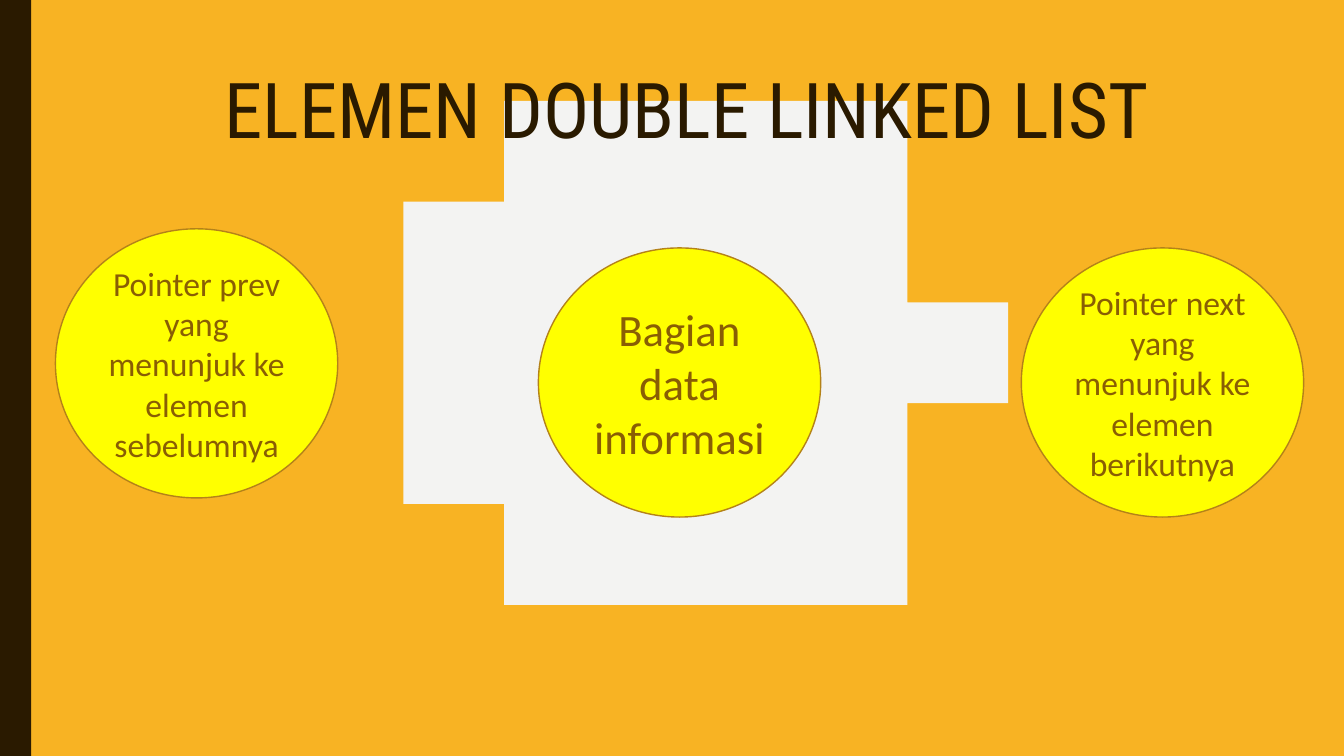
"""Build a slide on the parts of a double linked list."""
import math
from typing import NamedTuple

import pptx
import pptx.dml.color
import pptx.enum.shapes
import pptx.enum.text
import pptx.util

HUES = {
    "back": "F8B323",
    "seal": "F3F3F2",
    "dark": "2A1A00",
    "fill": "FFFF00",
    "edge": "B48219",
    "text": "895E04",
}
Inches = pptx.util.Inches
KINDS = pptx.enum.shapes.MSO_SHAPE


class Node(NamedTuple):
    left: float
    top: float
    text: str
    size: int


NODES = [
    Node(5.34, 2.46, "Bagian data informasi", 32),
    Node(10.13, 2.46, "Pointer next yang menunjuk ke elemen berikutnya", 24),
    Node(0.55, 2.27, "Pointer prev yang menunjuk ke elemen sebelumnya", 24),
]


def tint(name: str) -> pptx.dml.color.RGBColor:
    return pptx.dml.color.RGBColor.from_string(HUES[name])


def paint(shape, name: str) -> None:
    shape.shadow.inherit = False
    shape.fill.solid()
    shape.fill.fore_color.rgb = tint(name)
    shape.line.fill.background()


def write(shape, text: str, font: str, size: int, hue: str):
    frame = shape.text_frame
    frame.word_wrap = True
    frame.vertical_anchor = pptx.enum.text.MSO_ANCHOR.MIDDLE
    line = frame.paragraphs[0]
    line.text = text
    line.alignment = pptx.enum.text.PP_ALIGN.CENTER
    line.font.name = font
    line.font.size = pptx.util.Pt(size)
    line.font.color.rgb = tint(hue)
    return line


def add_seal(shapes) -> None:
    lobes, steps = 16, 256
    points = []
    for step in range(steps):
        angle = math.tau * step / steps
        reach = 2.78 + 0.08 * math.cos(lobes * angle)
        points.append((6.755 + reach * math.sin(angle),
                       3.55 - reach * math.cos(angle)))
    outline = shapes.build_freeform(*points[0], scale=Inches(1))
    outline.add_line_segments(points[1:], close=True)
    paint(outline.convert_to_shape(), "seal")


def add_node(shapes, node: Node) -> None:
    oval = shapes.add_shape(KINDS.OVAL, Inches(node.left), Inches(node.top),
                            Inches(2.8), Inches(2.67))
    paint(oval, "fill")
    oval.line.color.rgb = tint("edge")
    oval.line.width = pptx.util.Pt(1)
    write(oval, node.text, "Calibri", node.size, "text")


def main() -> None:
    deck = pptx.Presentation()
    deck.slide_width, deck.slide_height = Inches(13.33), Inches(7.5)
    slide = deck.slides.add_slide(deck.slide_layouts[6])
    slide.background.fill.solid()
    slide.background.fill.fore_color.rgb = tint("back")
    shapes = slide.shapes

    add_seal(shapes)
    band = shapes.add_shape(KINDS.RECTANGLE, 0, 0, Inches(0.31), Inches(7.5))
    paint(band, "dark")
    title = shapes.add_textbox(Inches(1.56), Inches(0.47),
                               Inches(10.5), Inches(1.43))
    line = write(title, "ELEMEN DOUBLE LINKED LIST",
                 "Roboto Condensed", 55, "dark")
    line.line_spacing = 0.7
    for node in NODES:
        add_node(shapes, node)
    deck.save("out.pptx")


if __name__ == "__main__":
    main()
